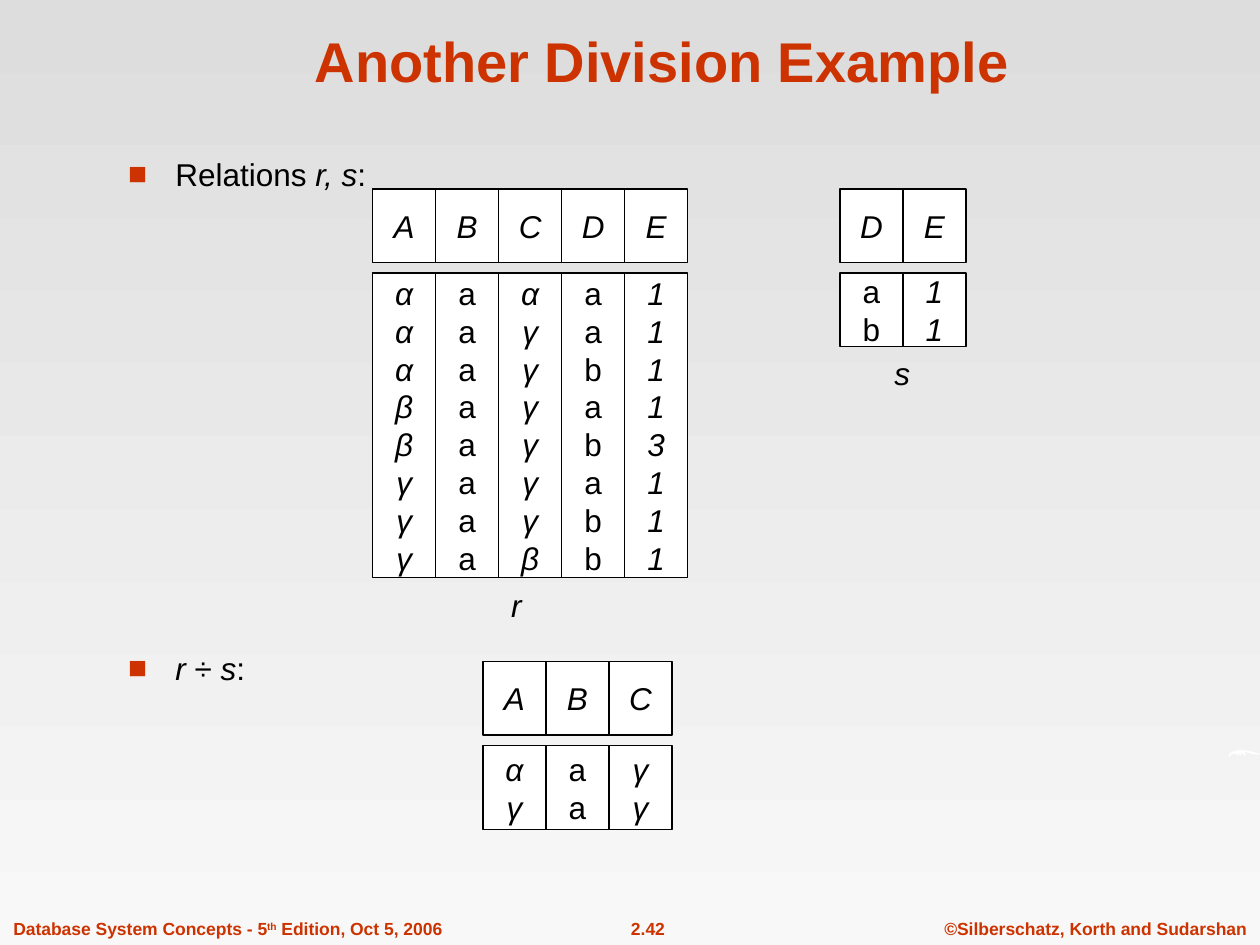
"""Builds a slide showing a relational division example with relations r, s and their quotient."""
import lxml.etree
import pptx
import pptx.dml.color
import pptx.enum.shapes
import pptx.enum.text
import pptx.oxml.ns
import pptx.util

Pt = pptx.util.Pt
RED = pptx.dml.color.RGBColor(0xCC, 0x33, 0x00)
BLACK = pptx.dml.color.RGBColor(0x00, 0x00, 0x00)
WHITE = pptx.dml.color.RGBColor(0xFF, 0xFF, 0xFF)
GRAY_TOP = pptx.dml.color.RGBColor(0xDD, 0xDD, 0xDD)
GRAY_BOTTOM = pptx.dml.color.RGBColor(0xF8, 0xF8, 0xF8)
LEFT = pptx.enum.text.PP_ALIGN.LEFT
CENTER = pptx.enum.text.PP_ALIGN.CENTER
MIDDLE = pptx.enum.text.MSO_ANCHOR.MIDDLE
CELL_WIDTH, HEADER_HEIGHT, HEADER_GAP = 36, 42, 6


def place(shape, left, top, width, height):
    shape.left, shape.top = Pt(left), Pt(top)
    shape.width, shape.height = Pt(width), Pt(height)


def style(paragraph, size, color, bold=False, italic=None, alignment=CENTER):
    paragraph.alignment = alignment
    paragraph.font.name = "Arial"
    paragraph.font.size = Pt(size)
    paragraph.font.color.rgb = color
    paragraph.font.bold = bold
    paragraph.font.italic = italic


presentation = pptx.Presentation()
presentation.slide_width, presentation.slide_height = Pt(720), Pt(540)
slide = presentation.slides.add_slide(presentation.slide_layouts[3])
title, relations, quotient = slide.placeholders

background = slide.background.fill
background.gradient()
background.gradient_angle = 270
for stop, color, position in zip(background.gradient_stops, (GRAY_TOP, GRAY_BOTTOM), (0, 1)):
    stop.color.rgb = color
    stop.position = position

footers = [
    (0.5, 270, LEFT, [("Database System Concepts - 5", False), ("th", True), (" Edition, Oct 5, 2006", False)]),
    (335, 70.5, CENTER, [("2.42", False)]),
    (528, 196, CENTER, [("©Silberschatz, Korth and Sudarshan", False)]),
]
for left, width, alignment, pieces in footers:
    footer = slide.shapes.add_textbox(Pt(left), Pt(521), Pt(width), Pt(19))
    footer.text_frame.word_wrap = False
    paragraph = footer.text_frame.paragraphs[0]
    for text, superscript in pieces:
        run = paragraph.add_run()
        run.text = text
        if superscript:
            run._r.get_or_add_rPr().set("baseline", "30000")
    style(paragraph, 10, RED, bold=True, alignment=alignment)

swoosh_points = [
    (702, 432.5), (702.7, 430.6), (704.2, 429.6), (706.3, 429), (709.2, 428.6),
    (712.8, 429), (716.4, 429.8), (719.3, 430.5), (720, 430.8), (719.3, 431.3),
    (717, 431), (714.2, 430.5), (711.4, 429.8), (711.4, 432), (709.2, 429.8),
    (709.2, 432), (707, 429.8), (707.8, 432), (705.6, 430.5), (703.4, 431.3), (702.7, 432.5),
]
start, *corners = [(Pt(x), Pt(y)) for x, y in swoosh_points]
builder = slide.shapes.build_freeform(*start)
builder.add_line_segments(corners, close=True)
swoosh = builder.convert_to_shape()
swoosh.shadow.inherit = False
swoosh.fill.solid()
swoosh.fill.fore_color.rgb = WHITE
swoosh.line.fill.background()

place(title, 60.5, 9, 635.8, 48)
title.text_frame.text = "Another Division Example"
title.text_frame.vertical_anchor = pptx.enum.text.MSO_ANCHOR.BOTTOM
title.text_frame.auto_size = pptx.enum.text.MSO_AUTO_SIZE.NONE
style(title.text_frame.paragraphs[0], 32, RED, bold=True)

bullets = [
    (relations, 85, 168, [("Relations ", False), ("r, s", True), (":", False)]),
    (quotient, 367.2, 102, [("r ", True), ("÷ ", False), ("s", True), (":", False)]),
]
for placeholder, top, width, pieces in bullets:
    place(placeholder, 66, top, width, 26)
    placeholder.text_frame.auto_size = pptx.enum.text.MSO_AUTO_SIZE.NONE
    paragraph = placeholder.text_frame.paragraphs[0]
    paragraph.space_before = Pt(0)
    properties = paragraph._p.get_or_add_pPr()
    properties.set("marL", str(Pt(27)))
    properties.set("indent", str(-Pt(27)))
    bullet_color = lxml.etree.SubElement(properties, pptx.oxml.ns.qn("a:buClr"))
    lxml.etree.SubElement(bullet_color, pptx.oxml.ns.qn("a:srgbClr")).set("val", str(RED))
    lxml.etree.SubElement(properties, pptx.oxml.ns.qn("a:buChar")).set("char", "■")
    for text, italic in pieces:
        run = paragraph.add_run()
        run.text = text
        run.font.italic = italic
    style(paragraph, 18, BLACK, alignment=LEFT)

tables = [
    (213, 108, 174, {"A": "αααββγγγ", "B": "aaaaaaaa", "C": "αγγγγγγβ", "D": "aabababb", "E": "11113111"}),
    (480, 108, 42, {"D": "ab", "E": "11"}),
    (276, 378, 48, {"A": "αγ", "B": "aa", "C": "γγ"}),
]
for table_left, header_top, body_height, columns in tables:
    body_top = header_top + HEADER_HEIGHT + HEADER_GAP
    for index, (name, values) in enumerate(columns.items()):
        left = table_left + index * CELL_WIDTH
        for top, height, letters in ((header_top, HEADER_HEIGHT, name), (body_top, body_height, values)):
            cell = slide.shapes.add_shape(
                pptx.enum.shapes.MSO_SHAPE.RECTANGLE, Pt(left), Pt(top), Pt(CELL_WIDTH), Pt(height))
            cell.shadow.inherit = False
            cell.fill.solid()
            cell.fill.fore_color.rgb = WHITE
            cell.line.color.rgb = BLACK
            cell.line.width = Pt(0.75)
            cell.text_frame.word_wrap = False
            cell.text_frame.vertical_anchor = MIDDLE
            cell.text_frame.text = "\n".join(letters)
            for paragraph in cell.text_frame.paragraphs:
                style(paragraph, 18, BLACK, italic=paragraph.text not in "ab")

for text, left, top, width in (("r", 285, 331.2, 20), ("s", 504, 198.7, 23)):
    label = slide.shapes.add_textbox(Pt(left), Pt(top), Pt(width), Pt(29))
    label.text_frame.word_wrap = False
    label.text_frame.vertical_anchor = MIDDLE
    label.text_frame.text = text
    style(label.text_frame.paragraphs[0], 18, BLACK, italic=True)

presentation.save("out.pptx")
